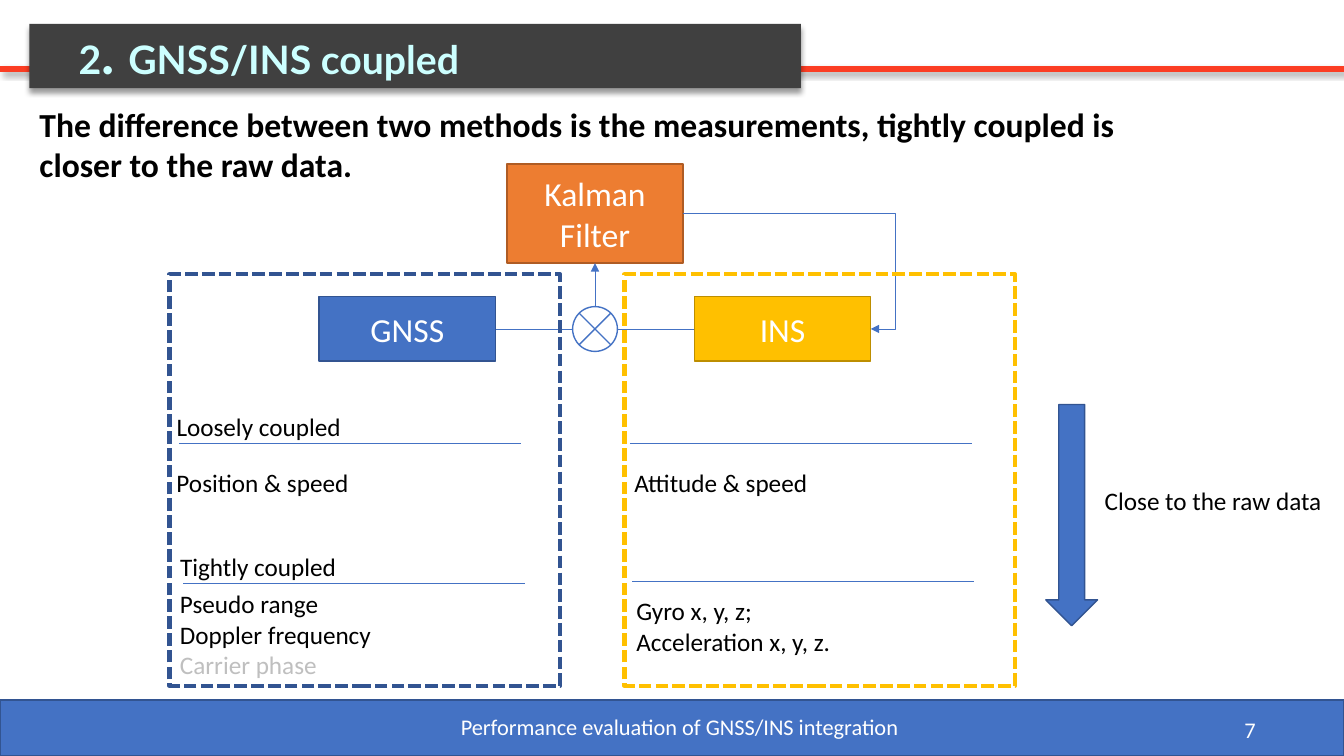
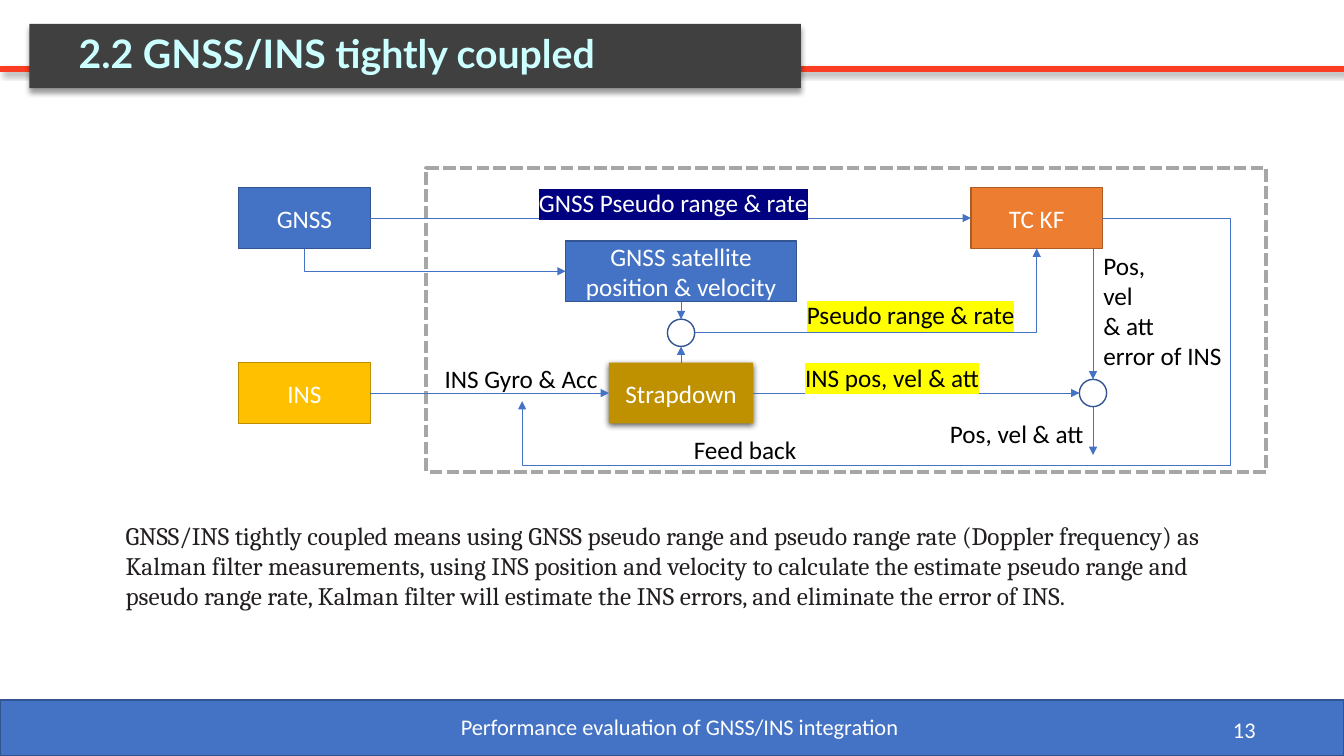
import lxml.etree
import pptx
import pptx.dml.color
import pptx.enum.dml
import pptx.enum.shapes
import pptx.enum.text
import pptx.oxml.ns
import pptx.util

Pt = pptx.util.Pt
qn = pptx.oxml.ns.qn
ALIGN = pptx.enum.text.PP_ALIGN
ANCHOR = pptx.enum.text.MSO_ANCHOR
SHAPE = pptx.enum.shapes.MSO_SHAPE
CONNECTOR = pptx.enum.shapes.MSO_CONNECTOR

COLORS = {
    "blue": "4472C4", "blue_edge": "325491",
    "gold": "FFC000", "gold_edge": "BD8E00", "dark_gold": "BF9000",
    "orange": "ED7D31", "orange_edge": "AF5C24",
    "red": "FB3D23", "charcoal": "404040", "mint": "CCFFFF",
    "black": "000000", "ink": "231F20", "white": "FFFFFF",
    "grey": "A6A6A6", "light_grey": "BFBFBF",
    "navy": "000080", "yellow": "FFFF00",
}
SIDES = {"top": (0.5, 0), "left": (0, 0.5), "bottom": (0.5, 1), "right": (1, 0.5)}
SITE_ORDER = list(SIDES)


def rgb(name):
    return pptx.dml.color.RGBColor.from_string(COLORS[name])


def sub(parent, tag, **attrs):
    return lxml.etree.SubElement(parent, qn(tag), {k: str(v) for k, v in attrs.items()})


def set_effects(sp, shadow=None):
    effects = sub(sp.element.spPr, "a:effectLst")
    if shadow:
        alpha, blur, dist, angle = shadow
        outer = sub(effects, "a:outerShdw", blurRad=Pt(blur), dist=Pt(dist),
                    dir=angle * 60000, algn="t", rotWithShape=0)
        color = sub(outer, "a:srgbClr", val=COLORS["black"])
        sub(color, "a:alpha", val=alpha * 1000)


def add_run(p, text, size=18, color="black", font="Calibri", bold=False, highlight=None):
    r = p.add_run()
    r.text = text
    r.font.size = Pt(size)
    r.font.bold = bold
    r.font.name = font
    r.font.color.rgb = rgb(color)
    if highlight:
        mark = lxml.etree.Element(qn("a:highlight"))
        sub(mark, "a:srgbClr", val=COLORS[highlight])
        r.font.fill  
        r._r.rPr.find(qn("a:solidFill")).addnext(mark)


def write(sp, text, align=ALIGN.LEFT, anchor=ANCHOR.TOP, spacing=1.0, indent=0, **fmt):
    tf = sp.text_frame
    tf.word_wrap = True
    tf.auto_size = pptx.enum.text.MSO_AUTO_SIZE.NONE
    tf.vertical_anchor = anchor
    for i, line in enumerate([text] if isinstance(text, str) else text):
        p = tf.add_paragraph() if i else tf.paragraphs[0]
        p.alignment = align
        p.line_spacing = spacing
        p.space_before = Pt(0)
        pPr = p._p.get_or_add_pPr()
        pPr.set("marL", str(Pt(indent)))
        pPr.set("indent", "0")
        sub(pPr, "a:buNone")
        for run_text, changes in [(line, {})] if isinstance(line, str) else line:
            add_run(p, run_text, **{**fmt, **changes})


def place(sp, box):
    sp.left, sp.top, sp.width, sp.height = map(Pt, box)


def add_label(s, box, text, **fmt):
    write(s.shapes.add_textbox(*map(Pt, box)), text, **fmt)


def add_shape(s, kind, box, fill=None, line=None, width=1, dashed=False, shadow=None):
    sp = s.shapes.add_shape(kind, *map(Pt, box))
    if fill:
        sp.fill.solid()
        sp.fill.fore_color.rgb = rgb(fill)
    else:
        sp.fill.background()
    if line:
        sp.line.color.rgb = rgb(line)
        sp.line.width = Pt(width)
    else:
        sp.line.fill.background()
    if dashed:
        sp.line.dash_style = pptx.enum.dml.MSO_LINE.SQUARE_DOT
    set_effects(sp, shadow)
    return sp


def add_block(s, box, text, fill, line=None, size=18, shadow=None):
    sp = add_shape(s, SHAPE.RECTANGLE, box, fill, line, shadow=shadow)
    write(sp, text, size=size, color="white", align=ALIGN.CENTER, anchor=ANCHOR.MIDDLE)
    return sp


def end_point(end):
    if isinstance(end[1], str):
        sp, side = end
        fx, fy = SIDES[side]
        return int(sp.left + fx * sp.width), int(sp.top + fy * sp.height)
    return Pt(end[0]), Pt(end[1])


def link(s, start, end, kind="line", adj=(), arrow=True, color="blue", width=0.5,
         shadow=None, down_first=False):
    (x1, y1), (x2, y2) = end_point(start), end_point(end)
    base = CONNECTOR.STRAIGHT if kind == "line" else CONNECTOR.ELBOW
    c = s.shapes.add_connector(base, x1, y1, x2, y2)
    geom = c.element.spPr.find(qn("a:prstGeom"))
    geom.set("prst", kind)
    for i, value in enumerate(adj, 1):
        sub(geom.find(qn("a:avLst")), "a:gd", name=f"adj{i}", fmla=f"val {round(value * 100000)}")
    if down_first:
        dx, dy = x2 - x1, y2 - y1
        c.left, c.top = (x1 + x2 - dy) // 2, (y1 + y2 - dx) // 2
        c.width, c.height = dy, dx
        xfrm = c.element.spPr.find(qn("a:xfrm"))
        xfrm.set("rot", "16200000")
        xfrm.set("flipH", "1")
    c.line.color.rgb = rgb(color)
    c.line.width = Pt(width)
    if arrow:
        sub(c.element.spPr.find(qn("a:ln")), "a:tailEnd", type="triangle")
    set_effects(c, shadow)
    glue = c.element.find(".//" + qn("p:cNvCxnSpPr"))
    for tag, (sp, side) in (("a:stCxn", start), ("a:endCxn", end)):
        if isinstance(side, str):
            step = 1 if sp.auto_shape_type == SHAPE.RECTANGLE else 2
            sub(glue, tag, id=sp.shape_id, idx=SITE_ORDER.index(side) * step)


def add_header(s, box, title):
    x, y, w, h = box
    link(s, (0, y + 32.5), (960, y + 32.5), arrow=False, color="red", width=4.5,
         shadow=(40, 4, 3, 45))
    sp = s.shapes.title
    s.shapes.element.append(sp.element)
    place(sp, box)
    sp.fill.solid()
    sp.fill.fore_color.rgb = rgb("charcoal")
    sp.line.fill.background()
    set_effects(sp, (40, 4, 3, 90))
    write(sp, title, size=28, color="mint", font="Lato", bold=True, spacing=0.9,
          indent=28, anchor=ANCHOR.MIDDLE)


def add_footer(s, box, page):
    x, y, w, h = box
    add_shape(s, SHAPE.RECTANGLE, box, "blue", "blue_edge")
    fmt = dict(size=16, color="white", anchor=ANCHOR.MIDDLE)
    add_label(s, (x + 318, y, 335, 37.5), "Performance evaluation of GNSS/INS integration",
              align=ALIGN.CENTER, **fmt)
    add_label(s, (x + 688, y + 6.5, 216, 29), str(page), align=ALIGN.RIGHT, **fmt)


def add_page(prs, title, page, body, body_box, **fmt):
    s = prs.slides.add_slide(prs.slide_layouts[1])
    add_header(s, (21, 17, 551, 46), title)
    add_footer(s, (0, 500, 960, 40), page)
    sp = s.placeholders[1]
    place(sp, body_box)
    write(sp, body, **fmt)
    return s


def add_measurements(s, box, line, rows):
    x, y, w, h = box
    add_shape(s, SHAPE.RECTANGLE, box, line=line, width=3, dashed=True)
    for rule_x, rule_y, text_x, text_y, heading, lines in rows:
        link(s, (x + rule_x, y + rule_y), (x + rule_x + 244, y + rule_y), arrow=False)
        if heading:
            add_label(s, (x + text_x, y + rule_y - 24, 145, 30), heading, spacing=0.9)
        add_label(s, (x + text_x, y + text_y, 272, 24 * len(lines) + 5), lines)


def add_filter_loop(s, box):
    x, y, w, h = box
    gnss = add_block(s, (x, y + 95, 126, 46), "GNSS", "blue", "blue_edge", 24)
    ins = add_block(s, (x + w - 126, y + 95, 126, 46), "INS", "gold", "gold_edge", 24)
    kalman = add_block(s, (x + w / 2 - 63, y, 126, 71), "Kalman Filter",
                       "orange", "orange_edge", 24)
    mixer = add_shape(s, SHAPE.FLOWCHART_SUMMING_JUNCTION,
                      (x + w / 2 - 16, y + 102, 32, 32), line="blue")
    link(s, (kalman, "right"), (ins, "right"), "bentConnector3", adj=(1.13,))
    link(s, (gnss, "right"), (mixer, "left"), arrow=False)
    link(s, (ins, "left"), (mixer, "right"), arrow=False)
    link(s, (mixer, "top"), (kalman, "bottom"))


def add_tight_coupling(s, box):
    x, y, w, h = box

    def block(dx, dy, width, *args, **fmt):
        return add_block(s, (x + dx, y + dy, width, 43.5), *args, **fmt)

    def node(dx, dy):
        return add_shape(s, SHAPE.OVAL, (x + dx, y + dy, 19.5, 19.5), line="blue_edge")

    gnss = block(0, 14, 94, "GNSS", "blue", "blue_edge")
    ins = block(0, 139, 94, "INS", "gold", "gold_edge")
    satellite = block(233.5, 52, 165, "GNSS satellite position & velocity", "blue", "blue_edge")
    tc_filter = block(523, 14, 94, "TC KF", "orange", "orange_edge")
    strapdown = block(264.5, 139, 103, "Strapdown", "dark_gold", shadow=(63, 4.5, 1.5, 90))
    add_shape(s, SHAPE.RECTANGLE, (x + 134, y, w - 134, h), line="grey", width=3, dashed=True)
    compare = node(306.25, 108)
    correct = node(600.5, 151)

    link(s, (gnss, "bottom"), (satellite, "left"), "bentConnector2", down_first=True)
    link(s, (compare, "right"), (tc_filter, "bottom"), "bentConnector2")
    link(s, (tc_filter, "right"), (x + 202.5, y + 166.5), "bentConnector4", adj=(-0.22, 1.35))
    for start, end in (
        ((gnss, "right"), (tc_filter, "left")),
        ((ins, "right"), (strapdown, "left")),
        ((satellite, "bottom"), (compare, "top")),
        ((strapdown, "top"), (compare, "bottom")),
        ((strapdown, "right"), (correct, "left")),
        ((x + 610.25, y + 57.5), (correct, "top")),
        ((correct, "bottom"), (x + 610.25, y + 205)),
    ):
        link(s, start, end)

    center = dict(align=ALIGN.CENTER)
    for dx, dy, width, text, fmt in (
        (140, 136, 125, "INS Gyro & Acc", {}),
        (194.5, 10.5, 232, "GNSS Pseudo range & rate",
         dict(color="white", highlight="navy", **center)),
        (386, 90.5, 188, "Pseudo range & rate", dict(highlight="yellow", **center)),
        (318, 187, 125, "Feed back", {}),
        (501, 175, 125, "Pos, vel & att", {}),
        (397.5, 135, 188, "INS pos, vel & att", dict(highlight="yellow")),
        (610.5, 55, 100, ["Pos,", "vel", "& att", "error of INS"], {}),
    ):
        lines = 1 if isinstance(text, str) else len(text)
        add_label(s, (x + dx, y + dy, width, 22 * lines + 7), text, **fmt)


def build_comparison(prs):
    title = [[("2", {}), (". ", {"size": 40}), ("GNSS/INS coupled", {})]]
    s = add_page(prs, title, 7,
                 "The difference between two methods is the measurements, "
                 "tightly coupled is closer to the raw data.",
                 (21, 70.5, 820, 65.5), size=24, bold=True)
    add_filter_loop(s, (228, 117, 394, 141))
    add_measurements(s, (121, 196, 279, 294), "blue_edge", (
        (7, 121, -2, 134.5, "Loosely coupled", ["Position & speed"]),
        (10, 221, 0.5, 221, "Tightly coupled",
         ["Pseudo range", "Doppler frequency", [("Carrier phase", {"color": "light_grey"})]]),
    ))
    add_measurements(s, (446, 196, 279, 294), "gold", (
        (4, 121, 0, 134.5, None, ["Attitude & speed"]),
        (5.5, 219.5, 1.5, 226, None, ["Gyro x, y, z;", "Acceleration x, y, z."]),
    ))
    add_shape(s, SHAPE.DOWN_ARROW, (747, 289, 37, 158), "blue", "blue_edge")
    add_label(s, (782, 343, 178, 29), "Close to the raw data")


def build_tight_coupling(prs):
    s = add_page(prs, "2.2 GNSS/INS tightly coupled", 13,
                 "GNSS/INS tightly coupled means using GNSS pseudo range and pseudo range rate "
                 "(Doppler frequency) as Kalman filter measurements, using INS position and "
                 "velocity to calculate the estimate pseudo range and pseudo range rate, Kalman "
                 "filter will estimate the INS errors, and eliminate the error of INS.",
                 (82.5, 368, 803.5, 73), font="Cambria", color="ink")
    add_tight_coupling(s, (170.5, 120, 734, 217))


def main():
    prs = pptx.Presentation()
    prs.slide_width, prs.slide_height = Pt(960), Pt(540)
    build_comparison(prs)
    build_tight_coupling(prs)
    prs.save("out.pptx")


if __name__ == "__main__":
    main()
